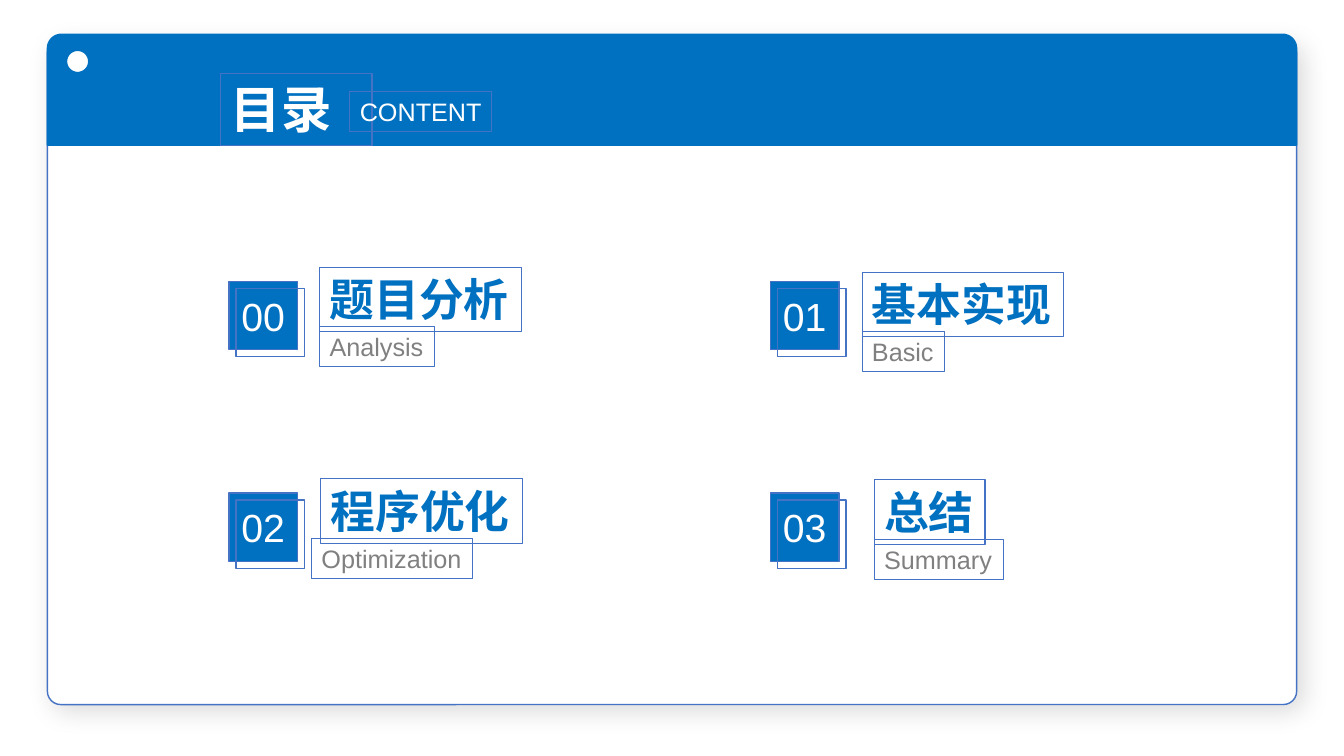
from math import cos, pi, sin

from lxml import etree
from pptx import Presentation
from pptx.dml.color import RGBColor
from pptx.enum.shapes import MSO_SHAPE as Shape
from pptx.enum.text import MSO_ANCHOR as Anchor, MSO_AUTO_SIZE as AutoSize, PP_ALIGN as Align
from pptx.oxml.ns import qn
from pptx.util import Inches, Pt

TITLE, SUBTITLE = "目录", "CONTENT"
# number, heading, caption, widths of both, heading's shift from its badge, caption's left shift
ENTRIES = [
    ("00", "题目分析", "Analysis", 2, 1.14, (0.9, -0.14), 0.9),
    ("01", "基本实现", "Basic", 2, 0.82, (0.91, -0.09), 0.91),
    ("02", "程序优化", "Optimization", 2, 1.6, (0.91, -0.14), 0.82),
    ("03", "总结", "Summary", 1.1, 1.28, (1.03, -0.13), 1.03),
]
COLORS = {"blue": "0070C0", "outline": "4472C4", "gray": "808080",
          "white": "FFFFFF", "black": "000000"}
FONT = "Arial"

WIDTH, HEIGHT = 13.33, 7.5
COLUMNS, ROW_TOP, ROW_STEP = (2.27, 7.64), 2.79, 2.1
BADGE, BADGE_SHIFT = 0.68, 0.07
HEADING_HEIGHT, CAPTION_HEIGHT, CAPTION_DROP = 0.64, 0.4, 0.59
CARD_LEFT, CARD_WIDTH, CARD_TOP, CARD_HEIGHT = 0.47, 12.39, 0.39, 6.6
HEADER_TOP, HEADER_BOTTOM, CORNER = 0.34, 1.44, 0.14
HOLE_X, HOLE_Y, HOLE_RADIUS = 0.77, 0.61, 0.11

deck = Presentation()
deck.slide_width, deck.slide_height = Inches(WIDTH), Inches(HEIGHT)
page = deck.slides.add_slide(deck.slide_layouts[6])


def color(name):
    return RGBColor.from_string(COLORS[name])


def paint(shape, fill, line="outline", weight=1):
    shape.shadow.inherit = False
    if fill:
        shape.fill.solid()
        shape.fill.fore_color.rgb = color(fill)
    else:
        shape.fill.background()
    shape.line.color.rgb = color(line)
    shape.line.width = Pt(weight)
    return shape


def add_block(kind, left, top, width, height, fill=None):
    return paint(page.shapes.add_shape(
        kind, Inches(left), Inches(top), Inches(width), Inches(height)), fill)


def write(shape, text, size, ink, bold=False):
    para = shape.text_frame.paragraphs[0]
    para.text = text
    font = para.runs[0].font
    font.name, font.size, font.bold = FONT, Pt(size), bold
    font.color.rgb = color(ink)
    return para


def add_label(text, left, top, width, height, size, ink, bold=False, wrap=False):
    box = page.shapes.add_textbox(Inches(left), Inches(top), Inches(width), Inches(height))
    paint(box, None, weight=0.75)
    box.text_frame.word_wrap = wrap
    box.text_frame.auto_size = AutoSize.SHAPE_TO_FIT_TEXT
    write(box, text, size, ink, bold)


def add_soft_shadow(shape):
    effects = shape._element.spPr.find(qn("a:effectLst"))
    shadow = etree.SubElement(effects, qn("a:outerShdw"), blurRad=str(Pt(19)),
                              dist=str(Pt(7)), dir=str(45 * 60000),
                              algn="tl", rotWithShape="0")
    tint = etree.SubElement(shadow, qn("a:srgbClr"), val=COLORS["black"])
    etree.SubElement(tint, qn("a:alpha"), val="15000")


def arc(center_x, center_y, radius, start, end, steps):
    """Points in EMU along an arc whose angles are in half turns."""
    angles = [pi * (start + (end - start) * i / steps) for i in range(steps + 1)]
    return [(Inches(center_x + radius * cos(a)), Inches(center_y + radius * sin(a)))
            for a in angles]


def add_header():
    """Band with two round upper corners and a punched hole."""
    right = CARD_LEFT + CARD_WIDTH
    corner_y = HEADER_TOP + CORNER
    outline = (arc(CARD_LEFT + CORNER, corner_y, CORNER, 1, 1.5, 12)
               + arc(right - CORNER, corner_y, CORNER, 1.5, 2, 12)
               + [(Inches(right), Inches(HEADER_BOTTOM)),
                  (Inches(CARD_LEFT), Inches(HEADER_BOTTOM))])
    hole = arc(HOLE_X, HOLE_Y, HOLE_RADIUS, 2, 0, 48)
    builder = page.shapes.build_freeform(*outline[0])
    builder.add_line_segments(outline[1:], close=True)
    builder.move_to(*hole[0])
    builder.add_line_segments(hole[1:], close=True)
    paint(builder.convert_to_shape(), "blue", "blue")


def add_badge(number, left, top):
    badge = add_block(Shape.RECTANGLE, left, top, BADGE, BADGE, "blue")
    badge.text_frame.vertical_anchor = Anchor.MIDDLE
    write(badge, number, 28, "white").alignment = Align.CENTER
    add_block(Shape.RECTANGLE, left + BADGE_SHIFT, top + BADGE_SHIFT, BADGE, BADGE)


card = add_block(Shape.ROUNDED_RECTANGLE, CARD_LEFT, CARD_TOP, CARD_WIDTH, CARD_HEIGHT, "white")
card.adjustments[0] = 0.02
add_soft_shadow(card)
add_header()
add_label(TITLE, 2.19, 0.73, 1.5, 0.71, 36, "white", bold=True, wrap=True)
add_label(SUBTITLE, 3.47, 0.91, 1.41, 0.4, 18, "white")

for index, (number, heading, caption, heading_width, caption_width,
            (shift_x, shift_y), caption_shift) in enumerate(ENTRIES):
    row, column = divmod(index, len(COLUMNS))
    left, top = COLUMNS[column], ROW_TOP + row * ROW_STEP
    heading_top = top + shift_y
    add_label(heading, left + shift_x, heading_top, heading_width, HEADING_HEIGHT,
              32, "blue", bold=True)
    add_label(caption, left + caption_shift, heading_top + CAPTION_DROP, caption_width,
              CAPTION_HEIGHT, 18, "gray")
    add_badge(number, left, top)

deck.save("out.pptx")
